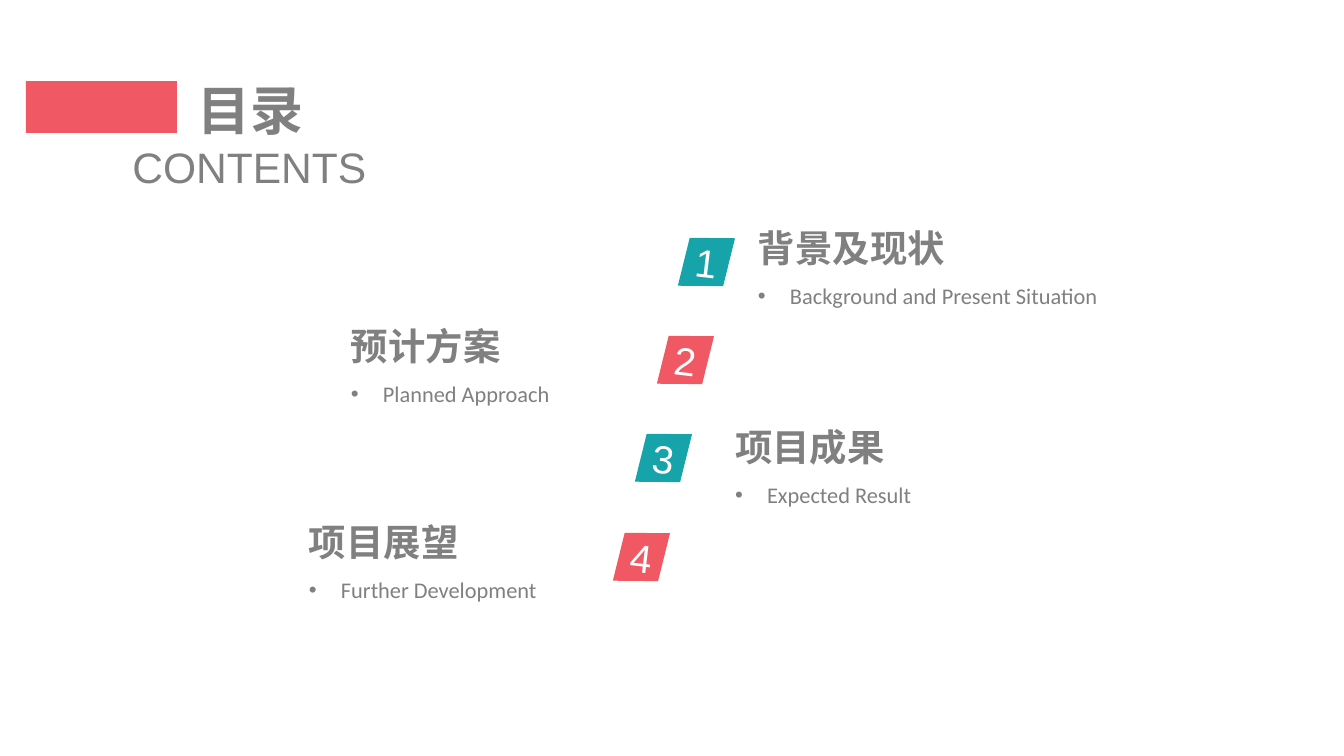
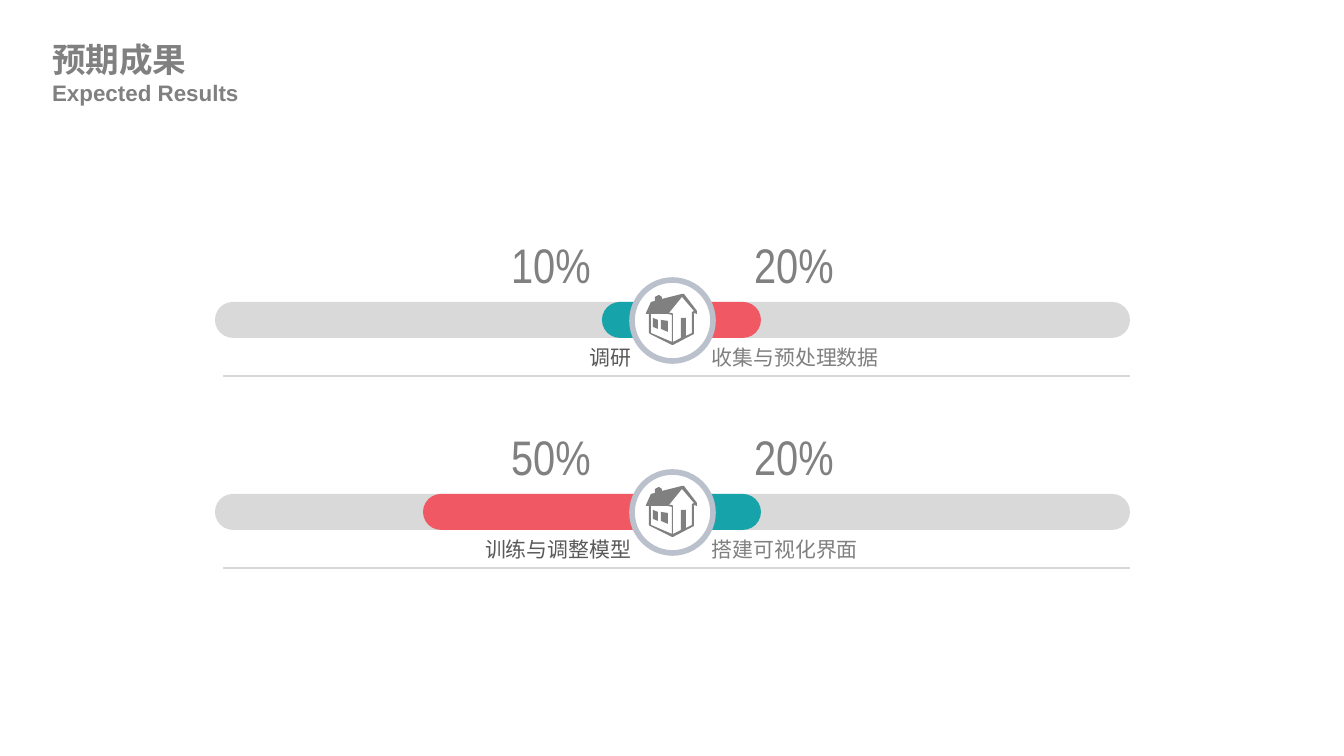
from lxml.etree import SubElement
from pptx import Presentation
from pptx.dml.color import RGBColor as RGB
from pptx.enum.shapes import MSO_CONNECTOR as LINK, MSO_SHAPE as KIND
from pptx.enum.text import MSO_ANCHOR as ANCHOR, PP_ALIGN as ALIGN
from pptx.oxml.ns import qn
from pptx.util import Pt

SCALE = 914400 / 134.4
TEAL = RGB(0x16, 0xA3, 0xAA)
RED = RGB(0xF0, 0x58, 0x63)
GRAY = RGB(0x80, 0x80, 0x80)
DARK = RGB(0x59, 0x59, 0x59)
TRACK = RGB(0xD9, 0xD9, 0xD9)
RULE = RGB(0xD8, 0xD8, 0xD8)
RING = RGB(0xBA, 0xC0, 0xCC)
WHITE = RGB(0xFF, 0xFF, 0xFF)
HAN = "Noto Sans CJK SC"

TAG = [(6, 5), (51, 0), (45, 49), (0, 54)]
HOUSE = [
    [(15, 26), (22, 27), (22, 38), (15, 35)],
    [(7, 24), (12, 26), (12, 35), (7, 33)],
    [(5, 20), (5, 39), (26, 48), (26, 21), (22, 20)],
    [(36, 3), (23, 19), (26, 19), (27, 20), (27, 48), (35, 44),
     (35, 24), (40, 24), (40, 42), (46, 39), (46, 18), (48, 17)],
    [(36, 0), (38, 0), (51, 17), (51, 20), (48, 19), (48, 40), (27, 51),
     (26, 51), (4, 40), (3, 39), (3, 20), (0, 20), (0, 19), (5, 8),
     (9, 7), (9, 3), (13, 1), (16, 3), (16, 5)],
]
TOPICS = [
    (758, 230, 415, "背景及现状", "Background and Present Situation"),
    (351, 328, 300, "预计方案", "Planned Approach"),
    (735, 429, 308, "项目成果", "Expected Result"),
    (309, 524, 300, "项目展望", "Further Development"),
]
GOALS = [
    (("10%", 67, TEAL, "调研"), ("20%", 85, RED, "收集与预处理数据")),
    (("50%", 246, RED, "训练与调整模型"), ("20%", 85, TEAL, "搭建可视化界面")),
]


def px(*vals):
    return [round(val * SCALE) for val in vals]


def style(para, size, color, face="Arial", bold=False, align=None):
    para.alignment = align
    for run in para.runs:
        font = run.font
        font.size = Pt(size)
        font.bold = bold
        font.color.rgb = color
        font.name = face
        SubElement(font._element, qn("a:ea"), typeface=HAN)


def set_frame(frame, pad=(0, 0), anchor=ANCHOR.MIDDLE, wrap=True):
    side, edge = px(*pad)
    frame.margin_left = frame.margin_right = side
    frame.margin_top = frame.margin_bottom = edge
    frame.vertical_anchor = anchor
    frame.word_wrap = wrap


def add_text(slide, box, text, pad=(0, 0), anchor=ANCHOR.MIDDLE, wrap=True):
    frame = slide.shapes.add_textbox(*px(*box)).text_frame
    set_frame(frame, pad, anchor, wrap)
    frame.text = text
    return frame.paragraphs


def paint(shape, fill):
    shape.shadow.inherit = False
    shape.fill.solid()
    shape.fill.fore_color.rgb = fill
    shape.line.fill.background()


def add_block(shapes, kind, box, fill):
    shape = shapes.add_shape(kind, *px(*box))
    paint(shape, fill)
    return shape


def add_free(shapes, left, top, rings, fill):
    pen = shapes.build_freeform(*rings[0][0], scale=SCALE)
    for ring in rings:
        pen.move_to(*ring[0])
        pen.add_line_segments(ring[1:], close=True)
    shape = pen.convert_to_shape(*px(left, top))
    paint(shape, fill)
    return shape


def add_bar(slide, left, top, width, fill):
    bar = add_block(slide.shapes, KIND.ROUNDED_RECTANGLE,
                    (left, top, width, 36), fill)
    bar.adjustments[0] = 0.5


def add_rule(slide, start, end, top):
    rule = slide.shapes.add_connector(LINK.STRAIGHT,
                                      *px(start, top, end, top))
    rule.line.color.rgb = RULE
    rule.line.width = Pt(1)
    SubElement(rule._element.spPr, qn("a:effectLst"))


def add_topic(slide, left, top, width, name, note):
    head, sub = add_text(slide, (left, top, width, 80), f"{name}\n{note}")
    props = sub._p.get_or_add_pPr()
    indent, = px(32)
    props.set("marL", str(indent))
    props.set("indent", str(-indent))
    SubElement(props, qn("a:buFont"), typeface="Arial")
    SubElement(props, qn("a:buChar"), char="•")
    head.line_spacing = sub.line_spacing = 0.9
    sub.space_before = Pt(7.5)
    style(head, 20, GRAY, HAN, True)
    style(sub, 12, GRAY, "Calibri")


def add_tag(slide, index):
    tag = add_free(slide.shapes, 681 - 65 * index // 3,
                   235 + 295 * index // 3, [TAG], (TEAL, RED)[index % 2])
    tag.rotation = 6.9
    frame = tag.text_frame
    set_frame(frame)
    frame.text = str(index + 1)
    style(frame.paragraphs[0], 21, WHITE, align=ALIGN.CENTER)


def add_badge(slide, top):
    parts = slide.shapes.add_group_shape().shapes
    ring = add_block(parts, KIND.OVAL, (632, top, 81, 81), WHITE)
    ring.line.color.rgb = RING
    ring.line.width = Pt(3)
    add_free(parts, 646, top + 14, HOUSE, GRAY)


def add_goal(slide, top, past, next_up):
    sides = [
        (past, 215, 669 - past[1], 500, 215, DARK, ALIGN.RIGHT),
        (next_up, 676, 676, 743, 712, GRAY, ALIGN.LEFT),
    ]
    for (share, width, fill, label), track, start, *_ in sides:
        add_bar(slide, track, top, 454, TRACK)
        add_bar(slide, start, top, width, fill)
    add_badge(slide, top - 22)
    for (share, _, _, label), _, _, mark, left, color, align in sides:
        para, = add_text(slide, (mark, top - 63, 102, 51), share,
                         (11, 5), wrap=False)
        style(para, 26, GRAY, "Arial Narrow", align=ALIGN.CENTER)
        para, = add_text(slide, (left, top + 43, 416, 23), label,
                         anchor=ANCHOR.TOP, wrap=False)
        style(para, 11.2, color, "Calibri", align=align)
    add_rule(slide, 1130, 223, top + 74)


def fill_contents(slide):
    for index, topic in enumerate(TOPICS):
        add_topic(slide, *topic)
        add_tag(slide, index)
    add_block(slide.shapes, KIND.RECTANGLE, (26, 81, 151, 52), RED)
    title, = add_text(slide, (191, 77, 120, 65), "目录")
    style(title, 28.4, GRAY, bold=True, align=ALIGN.CENTER)
    under, = add_text(slide, (114, 141, 271, 51), "CONTENTS",
                      anchor=ANCHOR.TOP)
    style(under, 22.8, GRAY, align=ALIGN.CENTER)


def fill_results(slide):
    for row, (past, next_up) in enumerate(GOALS):
        add_goal(slide, 302 + 192 * row, past, next_up)
    title, under = add_text(slide, (39, 32, 215, 82),
                            "预期成果\nExpected Results", (13, 7),
                            ANCHOR.TOP, False)
    style(title, 18, GRAY, bold=True)
    style(under, 12, GRAY, bold=True)


def main():
    deck = Presentation()
    deck.slide_width, deck.slide_height = px(1344, 756)
    blank = deck.slide_layouts[6]
    for fill in (fill_contents, fill_results):
        fill(deck.slides.add_slide(blank))
    deck.save("out.pptx")


if __name__ == "__main__":
    main()
